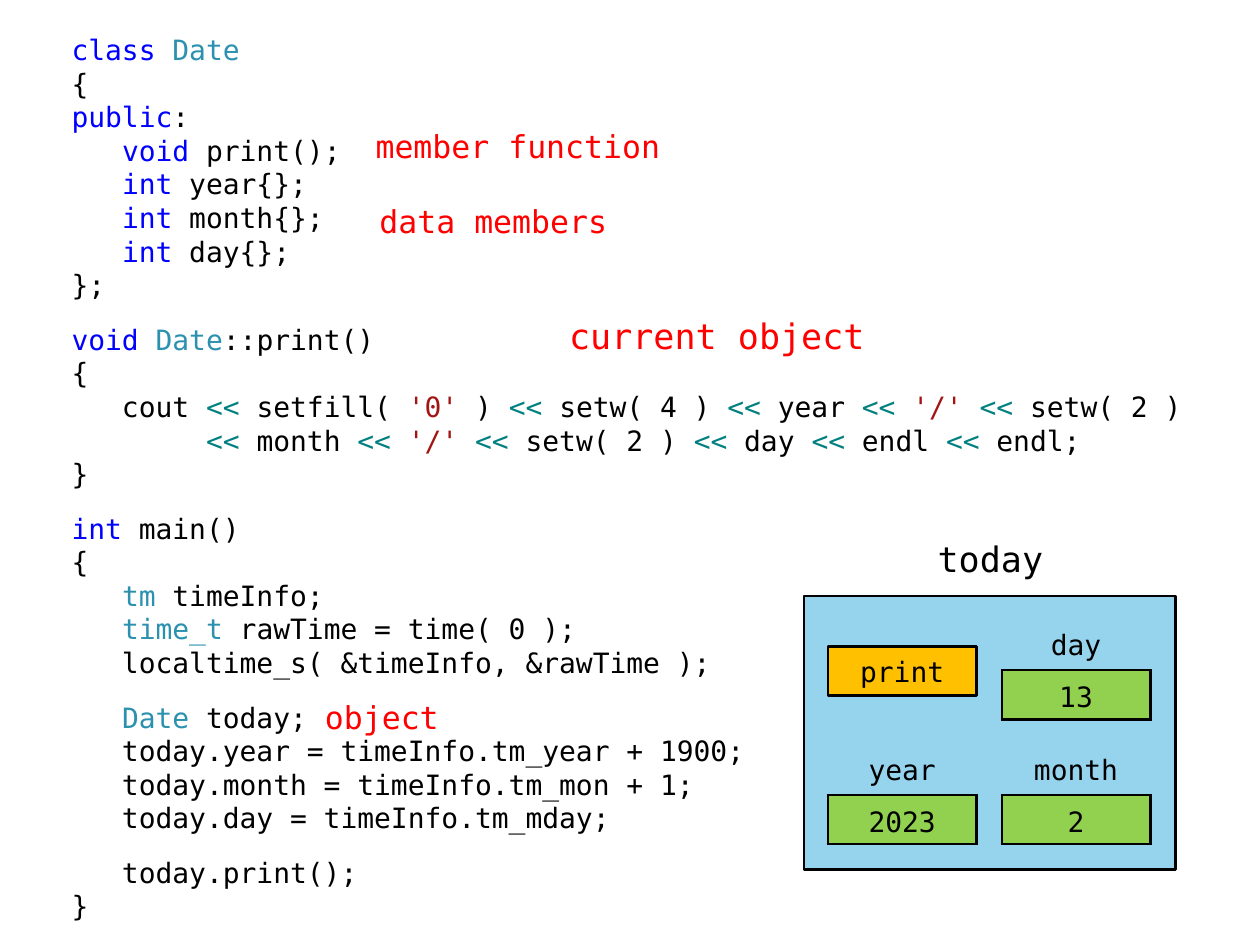
from lxml.etree import SubElement
from pptx import Presentation
from pptx.dml.color import RGBColor
from pptx.enum.shapes import MSO_SHAPE
from pptx.enum.text import MSO_ANCHOR, PP_ALIGN
from pptx.oxml.ns import qn
from pptx.util import Inches, Pt

FONT = "DejaVu Sans Mono"
BLACK = RGBColor(0x00, 0x00, 0x00)
RED = RGBColor(0xFF, 0x00, 0x00)
KEYWORD = RGBColor(0x00, 0x00, 0xFF)
TYPE = RGBColor(0x2B, 0x91, 0xAF)
OPERATOR = RGBColor(0x00, 0x80, 0x80)
LITERAL = RGBColor(0xA3, 0x15, 0x15)
SKY = RGBColor(0x96, 0xD4, 0xEE)
AMBER = RGBColor(0xFF, 0xC0, 0x00)
GREEN = RGBColor(0x92, 0xD0, 0x50)
NO_STYLE_NO_GRID = "{2D5ABB26-0587-4C30-8999-92F81FD0307C}"

INDENT = "   "
SHIFT = ("<< ", OPERATOR)
SHIFT_TIGHT = ("<<", OPERATOR)
SLASH = ("'/' ", LITERAL)

# Blocks of code lines; a plain string is a black run.
CODE = [
    [
        [("class ", KEYWORD), ("Date", TYPE)],
        ["{"],
        [("public", KEYWORD), ":"],
        [INDENT, ("void", KEYWORD), " print();"],
        [INDENT, ("int", KEYWORD), " year{};"],
        [INDENT, ("int", KEYWORD), " month{};"],
        [INDENT, ("int", KEYWORD), " day{};"],
        ["};"],
    ],
    [
        [("void ", KEYWORD), ("Date", TYPE), "::print()"],
        ["{"],
        [INDENT + "cout ", SHIFT, "setfill( ", ("'0'", LITERAL), " ) ", SHIFT,
         "setw( 4 ) ", SHIFT_TIGHT, " year ", SHIFT, SLASH, SHIFT, "setw( 2 )"],
        ["        ", SHIFT_TIGHT, " month ", SHIFT, SLASH, SHIFT, "setw( 2 ) ",
         SHIFT_TIGHT, " day ", SHIFT_TIGHT, " endl ", SHIFT_TIGHT, " endl;"],
        ["}"],
    ],
    [
        [("int", KEYWORD), " main()"],
        ["{"],
        [INDENT, ("tm ", TYPE), "timeInfo;"],
        [INDENT, ("time_t ", TYPE), "rawTime = time( 0 );"],
        [INDENT + "localtime_s( &timeInfo, &rawTime );"],
    ],
    [
        [INDENT, ("Date", TYPE), " today;"],
        [INDENT + "today.year = timeInfo.tm_year + 1900;"],
        [INDENT + "today.month = timeInfo.tm_mon + 1;"],
        [INDENT + "today.day = timeInfo.tm_mday;"],
    ],
    [
        [INDENT + "today.print();"],
        ["}"],
    ],
]

# text, (left, top, width, height), size, colour, (top inset, bottom inset)
LABELS = [
    ("today", (7.17, 4.14, 1.38, 0.59), 20, BLACK, (0.05, 0.05)),
    ("current object", (4.41, 2.37, 2.56, 0.59), 20, RED, (0.05, 0.05)),
    ("object", (2.44, 5.52, 1.18, 0.39), 18, RED, (0, 0.05)),
    ("member function", (2.83, 0.99, 2.56, 0.39), 18, RED, (0, 0.05)),
    ("data members", (2.83, 1.58, 2.17, 0.39), 18, RED, (0, 0.05)),
]

COLUMN_LEFTS = (6.57, 7.95)
CELL_WIDTH, CELL_HEIGHT = 1.18, 0.39
# name, value, column, top
MEMBERS = [
    ("year", "2023", 0, 5.92),
    ("month", "2", 1, 5.92),
    ("day", "13", 1, 4.93),
]


def add_run(paragraph, text, size, color=BLACK):
    run = paragraph.add_run()
    run.text = text
    run.font.name = FONT
    run.font.size = Pt(size)
    run.font.color.rgb = color


def add_centred_text(text_frame, text, size, color=BLACK):
    paragraph = text_frame.paragraphs[0]
    paragraph.alignment = PP_ALIGN.CENTER
    add_run(paragraph, text, size, color)


def add_code(slide):
    box = slide.shapes.add_textbox(Inches(0.47), Inches(0.21), Inches(9.06), Inches(7.09))
    frame = box.text_frame
    frame.word_wrap = True
    paragraph = None
    for block in CODE:
        for line_number, line in enumerate(block):
            is_first = paragraph is None
            paragraph = frame.paragraphs[0] if is_first else frame.add_paragraph()
            paragraph.line_spacing = Pt(19.2)
            paragraph.space_before = Pt(12 if line_number == 0 and not is_first else 0)
            properties = paragraph._p.get_or_add_pPr()
            properties.set("marL", str(Inches(0.39)))
            properties.set("indent", str(-Inches(0.39)))
            for part in line:
                text, color = (part, BLACK) if isinstance(part, str) else part
                add_run(paragraph, text, 16, color)


def add_process(slide, place, fill):
    shape = slide.shapes.add_shape(MSO_SHAPE.FLOWCHART_PROCESS, *map(Inches, place))
    shape.shadow.inherit = False
    shape.fill.solid()
    shape.fill.fore_color.rgb = fill
    shape.line.color.rgb = BLACK
    shape.line.width = Pt(1.5)
    return shape


def add_borders(cell, sides):
    properties = cell._tc.get_or_add_tcPr()
    for side in sides:
        line = SubElement(properties, qn(f"a:ln{side}"), w=str(Pt(1.5)))
        fill = SubElement(line, qn("a:solidFill"))
        SubElement(fill, qn("a:srgbClr"), val=str(BLACK))


def add_member(slide, name, value, column, top):
    place = (COLUMN_LEFTS[column], top, CELL_WIDTH, 2 * CELL_HEIGHT)
    table = slide.shapes.add_table(2, 1, *map(Inches, place)).table
    table.first_row = table.horz_banding = False
    table._tbl.tblPr.find(qn("a:tableStyleId")).text = NO_STYLE_NO_GRID
    name_cell, value_cell = table.cell(0, 0), table.cell(1, 0)
    for cell, text, sides in ((name_cell, name, "B"), (value_cell, value, "LRTB")):
        cell.vertical_anchor = MSO_ANCHOR.MIDDLE
        add_centred_text(cell.text_frame, text, 16)
        add_borders(cell, sides)
    name_cell.fill.background()
    value_cell.margin_bottom = 0
    value_cell.fill.solid()
    value_cell.fill.fore_color.rgb = GREEN


def add_label(slide, text, place, size, color, insets):
    frame = slide.shapes.add_textbox(*map(Inches, place)).text_frame
    frame.word_wrap = True
    frame.vertical_anchor = MSO_ANCHOR.MIDDLE
    frame.margin_top, frame.margin_bottom = map(Inches, insets)
    add_centred_text(frame, text, size, color)


def main():
    presentation = Presentation()
    presentation.slide_width = Inches(10)
    presentation.slide_height = Inches(7.5)
    slide = presentation.slides.add_slide(presentation.slide_layouts[6])

    add_code(slide)
    add_process(slide, (6.38, 4.73, 2.95, 2.17), SKY)
    print_box = add_process(slide, (COLUMN_LEFTS[0], 5.13, CELL_WIDTH, CELL_HEIGHT), AMBER)
    print_box.text_frame.vertical_anchor = MSO_ANCHOR.MIDDLE
    add_centred_text(print_box.text_frame, "print", 16)
    for member in MEMBERS:
        add_member(slide, *member)
    for label in LABELS:
        add_label(slide, *label)

    presentation.save("out.pptx")


if __name__ == "__main__":
    main()
